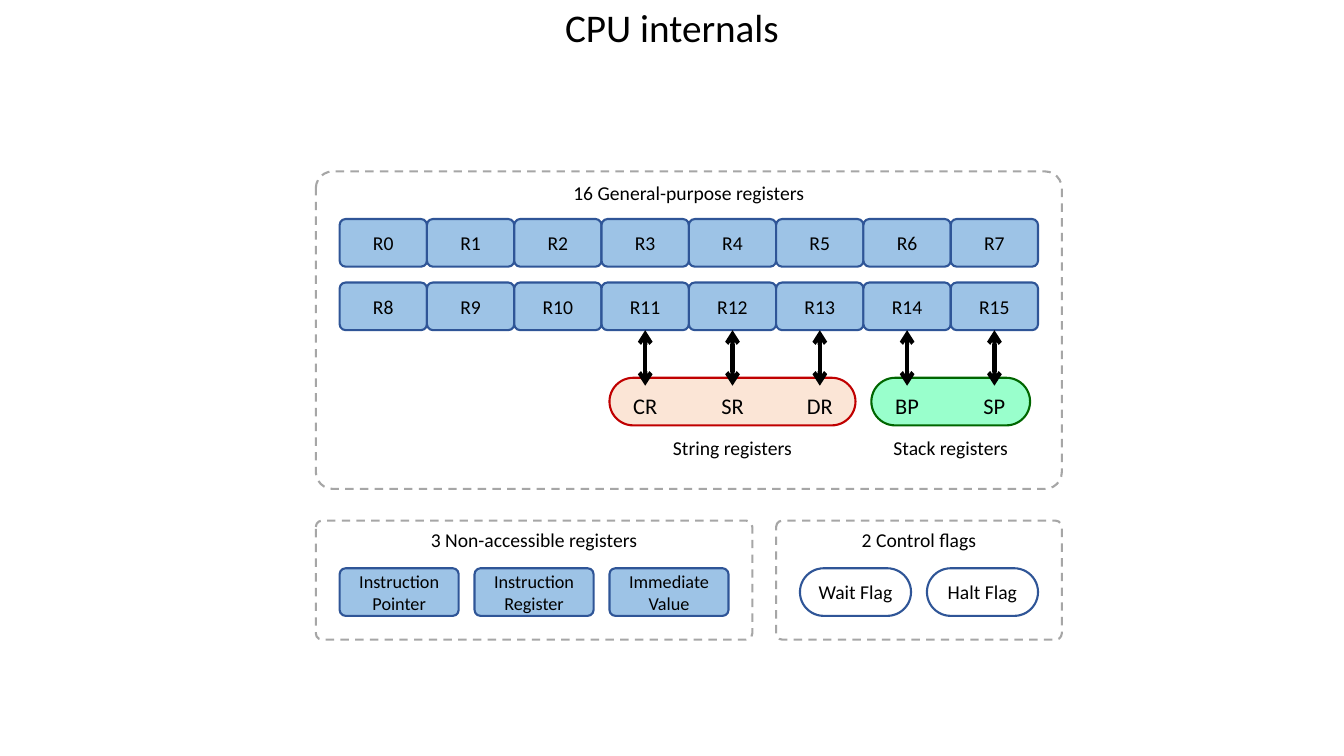
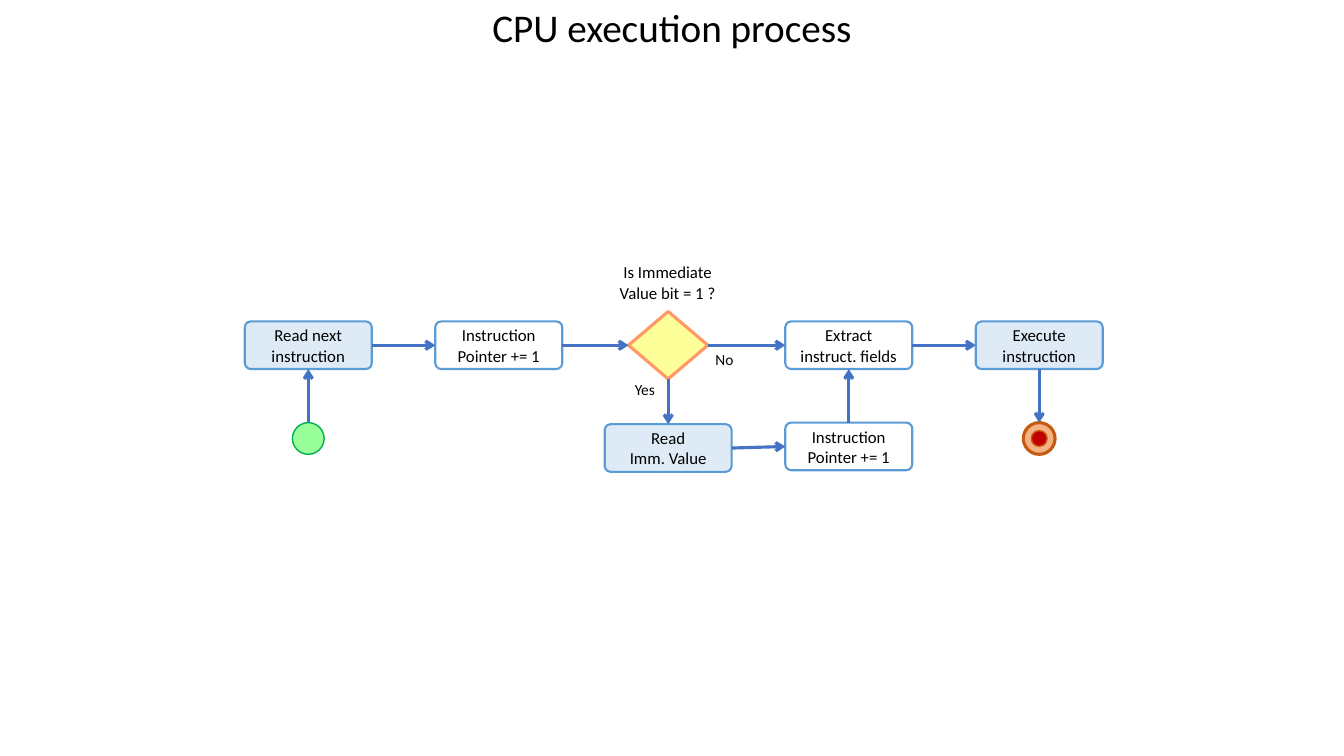
from dataclasses import dataclass
from typing import Optional

from lxml.etree import SubElement
from pptx import Presentation
from pptx.dml.color import RGBColor
from pptx.enum.dml import MSO_LINE_DASH_STYLE as Dash
from pptx.enum.shapes import MSO_CONNECTOR as Link, MSO_SHAPE as Kind
from pptx.enum.text import MSO_ANCHOR as Anchor, MSO_AUTO_SIZE as Fit, PP_ALIGN as Align
from pptx.oxml.ns import qn
from pptx.shapes.autoshape import Shape
from pptx.shapes.shapetree import _BaseGroupShapes as Tree
from pptx.slide import Slide
from pptx.text.text import TextFrame
from pptx.util import Cm, Pt

FONT = "Calibri"
BLACK = "000000"
WHITE = "FFFFFF"
NAVY = "2F5597"
SKY = "9DC3E6"
AZURE = "5B9BD5"
PALE = "DEEBF7"
BLUE = "4472C4"
RUST = "C55A11"
RED = "C00000"
WIDE, HIGH = 33.87, 19.05
TOP, LEFT, BOTTOM, RIGHT = range(4)


@dataclass(frozen=True)
class Look:
    fill: Optional[str] = None
    line: Optional[str] = None
    width: float = 1.5
    size: float = 14
    kind: Kind = Kind.ROUNDED_RECTANGLE
    bend: Optional[float] = 0.125
    dash: bool = False
    anchor: Anchor = Anchor.MIDDLE


@dataclass(frozen=True)
class Box:
    x: float
    y: float
    w: float
    h: float
    look: Look
    text: str = ""


@dataclass(frozen=True)
class Label:
    x: float
    y: float
    w: float
    h: float
    text: str
    size: float
    align: Align = Align.CENTER


@dataclass(frozen=True)
class Arrow:
    start: str
    out: int
    end: str
    into: int


TITLE = Look(WHITE, size=28, kind=Kind.RECTANGLE, bend=None)
PANEL = Look(line="A6A6A6", bend=0.053, dash=True, anchor=Anchor.TOP)
CELL = Look(SKY, NAVY)
SMALL = Look(SKY, NAVY, size=13)
FLAG = Look(WHITE, NAVY, bend=0.5)
STRING = Look("FBE5D6", RED, bend=0.5)
STACK = Look("99FFCC", "006600", bend=0.5)
ROLE = Look(size=16)
READ = Look(PALE, AZURE, size=12)
STEP = Look(WHITE, AZURE, size=12)
CHOICE = Look("FFFF99", "FF9966", 2.25, kind=Kind.FLOWCHART_DECISION, bend=None)
START = Look("99FF99", "00B050", 1, kind=Kind.FLOWCHART_CONNECTOR, bend=None)
RING = Look("F4B183", RUST, 2.25, kind=Kind.FLOWCHART_CONNECTOR, bend=None)
CORE = Look(RED, RUST, 1, kind=Kind.FLOWCHART_CONNECTOR, bend=None)


def tint(code: str) -> RGBColor:
    return RGBColor.from_string(code)


def write(frame: TextFrame, text: str, size: float, align: Align = Align.CENTER) -> None:
    frame.word_wrap = True
    frame.text = text
    for para in frame.paragraphs:
        para.alignment = align
        para.font.name = FONT
        para.font.size = Pt(size)
        para.font.color.rgb = tint(BLACK)


def draw(tree: Tree, box: Box) -> Shape:
    look = box.look
    shape = tree.add_shape(look.kind, Cm(box.x), Cm(box.y), Cm(box.w), Cm(box.h))
    shape.shadow.inherit = False
    if look.bend is not None:
        shape.adjustments[0] = look.bend
    if look.fill:
        shape.fill.solid()
        shape.fill.fore_color.rgb = tint(look.fill)
    else:
        shape.fill.background()
    if look.line:
        shape.line.color.rgb = tint(look.line)
        shape.line.width = Pt(look.width)
        if look.dash:
            shape.line.dash_style = Dash.DASH
    else:
        shape.line.fill.background()
    if box.text:
        shape.text_frame.vertical_anchor = look.anchor
        write(shape.text_frame, box.text, look.size)
    return shape


def note(tree: Tree, label: Label) -> None:
    frame = tree.add_textbox(Cm(label.x), Cm(label.y), Cm(label.w), Cm(label.h)).text_frame
    write(frame, label.text, label.size, label.align)
    frame.auto_size = Fit.SHAPE_TO_FIT_TEXT


def join(tree: Tree, start: Shape, out: int, end: Shape, into: int,
         code: str, width: float, both: bool = False) -> None:
    wire = tree.add_connector(Link.STRAIGHT, 0, 0, 0, 0)
    wire.begin_connect(start, out)
    wire.end_connect(end, into)
    wire.line.color.rgb = tint(code)
    wire.line.width = Pt(width)
    props = wire.element.spPr
    line = props.find(qn("a:ln"))
    for tag in ("a:headEnd", "a:tailEnd") if both else ("a:tailEnd",):
        SubElement(line, qn(tag), type="arrow")
    SubElement(props, qn("a:effectLst"))


def title(slide: Slide, text: str) -> None:
    band = draw(slide.shapes, Box(0, 0, WIDE, 1.52, TITLE, text))
    band.text_frame.paragraphs[0].line_spacing = 0.9


def inside(slide: Slide) -> None:
    tree = slide.shapes
    title(slide, "CPU internals")
    left, top, pad = 7.96, 4.32, 0.6
    cell, tall = 2.2, 1.2
    inner, low = left + pad, top + 8.8
    flags = left + 11 + pad
    for box in (
        Box(left, top, 8 * cell + 2 * pad, 8, PANEL, "16 General-purpose registers"),
        Box(left, low, 11, 3, PANEL, "3 Non-accessible registers"),
        Box(flags, low, 7.2, 3, PANEL, "2 Control flags"),
        Box(inner + 6.8, top + 5.2, 6.2, tall, STRING),
        Box(inner + 13.4, top + 5.2, 4, tall, STACK),
    ):
        draw(tree, box)

    cells = [
        draw(tree, Box(inner + i % 8 * cell, top + 1.2 + i // 8 * 1.6, cell, tall, CELL, f"R{i}"))
        for i in range(16)
    ]
    for i, name in enumerate(("CR", "SR", "DR", "BP", "SP"), 3):
        role = draw(tree, Box(inner + i * cell, top + 5.4, cell, 1, ROLE, name))
        join(tree, role, TOP, cells[8 + i], BOTTOM, BLACK, 3, both=True)

    note(tree, Label(inner + 6.8, top + 6.53, 6.2, 0.86, "String registers", 14))
    note(tree, Label(inner + 13.4, top + 6.53, 4, 0.86, "Stack registers", 14))

    for i, name in enumerate(("Instruction Pointer", "Instruction Register", "Immediate Value")):
        draw(tree, Box(inner + i * 3.4, low + 1.2, 3, tall, SMALL, name))
    for i, name in enumerate(("Wait Flag", "Halt Flag")):
        draw(tree, Box(flags + pad + i * 3.2, low + 1.2, 2.8, tall, FLAG, name))


def process(slide: Slide) -> None:
    tree = slide.shapes
    title(slide, "CPU execution process")
    wide, tall, pitch, dot = 3.2, 1.2, 4.8, 0.8
    first, third, fork = 6.17, 19.79, 15.24
    row, low = 8.1, 10.65
    mid = (wide - dot) / 2
    last = third + pitch
    boxes = {
        "read": Box(first, row, wide, tall, READ, "Read next instruction"),
        "next": Box(first + pitch, row, wide, tall, STEP, "Instruction Pointer += 1"),
        "test": Box(fork + 0.6, row - 0.25, 2, 1.7, CHOICE),
        "fields": Box(third, row, wide, tall, STEP, "Extract\vinstruct. fields"),
        "run": Box(last, row, wide, tall, READ, "Execute instruction"),
        "value": Box(fork, low + 0.04, wide, tall, READ, "Read\vImm. Value"),
        "skip": Box(third, low, wide, tall, STEP, "Instruction Pointer += 1"),
        "start": Box(first + mid, low, dot, dot, START),
    }
    nodes = {name: draw(tree, box) for name, box in boxes.items()}
    group = tree.add_group_shape()
    nodes["stop"] = draw(group.shapes, Box(last + mid, low, dot, dot, RING))
    draw(group.shapes, Box(last + mid + dot / 4, low + dot / 4, dot / 2, dot / 2, CORE))

    for arrow in (
        Arrow("start", TOP, "read", BOTTOM),
        Arrow("read", RIGHT, "next", LEFT),
        Arrow("next", RIGHT, "test", LEFT),
        Arrow("test", RIGHT, "fields", LEFT),
        Arrow("test", BOTTOM, "value", TOP),
        Arrow("value", RIGHT, "skip", LEFT),
        Arrow("skip", TOP, "fields", BOTTOM),
        Arrow("fields", RIGHT, "run", LEFT),
        Arrow("run", BOTTOM, "stop", TOP),
    ):
        join(tree, nodes[arrow.start], arrow.out, nodes[arrow.end], arrow.into, BLUE, 2.25)

    for label in (
        Label(15.34, 6.48, 2.97, 1.28, "Is Immediate\nValue bit = 1 ?", 12),
        Label(15.75, 9.45, 1.22, 0.73, "Yes", 11, Align.LEFT),
        Label(17.78, 8.71, 1.22, 0.73, "No", 11, Align.LEFT),
    ):
        note(tree, label)


def main() -> None:
    deck = Presentation()
    deck.slide_width, deck.slide_height = Cm(WIDE), Cm(HIGH)
    blank = deck.slide_layouts[6]
    for build in (inside, process):
        build(deck.slides.add_slide(blank))
    deck.save("out.pptx")


if __name__ == "__main__":
    main()
